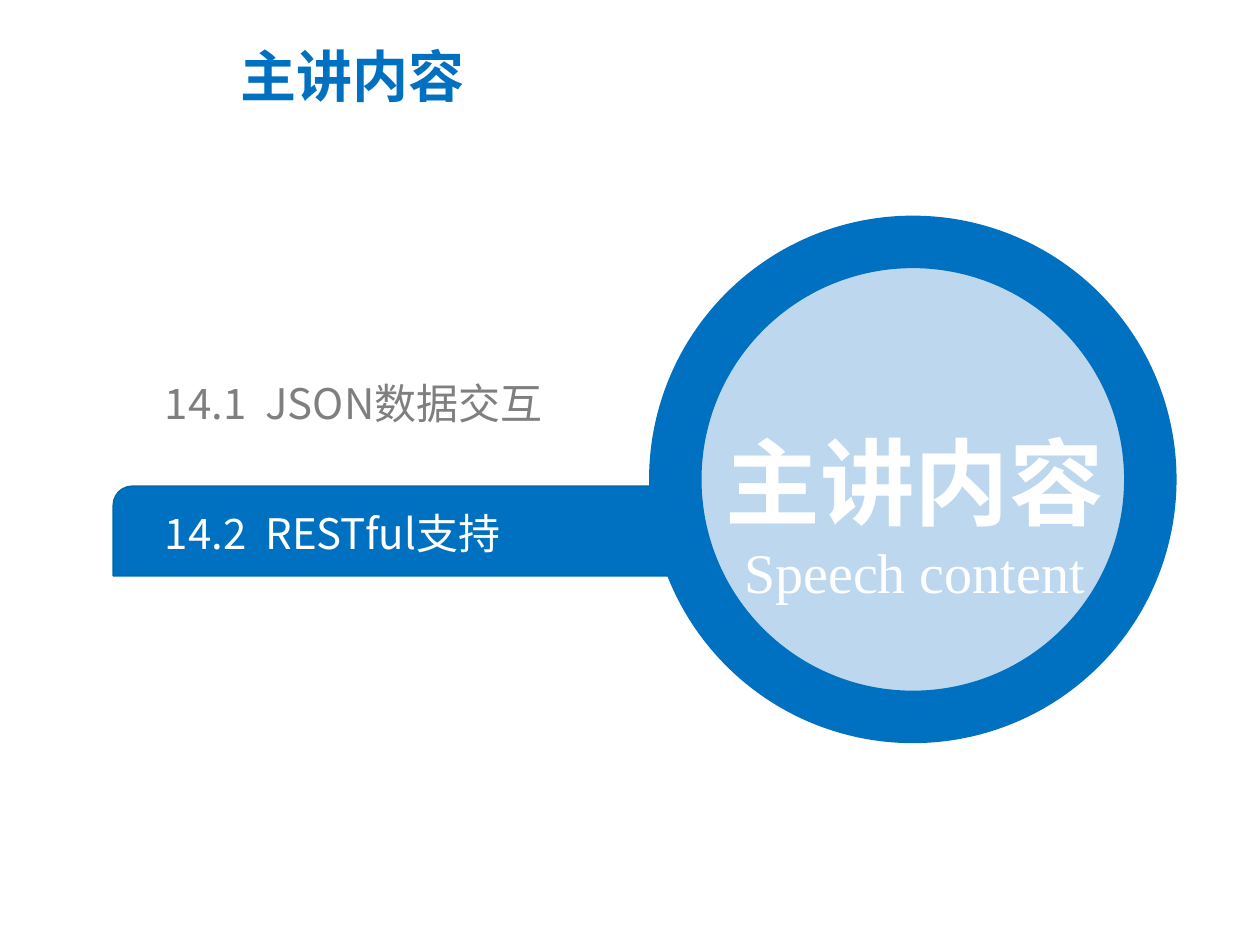
"""Build the chapter agenda slide with its current topic highlighted."""
import pptx
import pptx.dml.color
import pptx.enum.shapes
import pptx.enum.text
import pptx.oxml.ns
import pptx.oxml.xmlchemy
import pptx.util

BLUE = pptx.dml.color.RGBColor(0x00, 0x70, 0xC0)
EDGE_BLUE = pptx.dml.color.RGBColor(0x00, 0x6B, 0xA9)
PALE_BLUE = pptx.dml.color.RGBColor(0xBD, 0xD7, 0xEE)
GRAY = pptx.dml.color.RGBColor(0x7F, 0x7F, 0x7F)
WHITE = pptx.dml.color.RGBColor(0xFF, 0xFF, 0xFF)
SANS = "Noto Sans CJK SC"
SERIF = "Times New Roman"
ANCHOR = pptx.enum.text.MSO_ANCHOR
ALIGN = pptx.enum.text.PP_ALIGN
SHAPE = pptx.enum.shapes.MSO_SHAPE

TITLE = {"text": "主讲内容", "size": 32, "color": BLUE, "bold": True, "spacing": 0.9}
BADGE = [
    {"text": "主讲内容", "size": 54, "color": WHITE, "bold": True, "spacing": 1.5},
    {"text": "Speech content", "size": 32, "color": WHITE, "font": SERIF},
]
TOPICS = ["14.1  JSON数据交互", "14.2  RESTful支持"]
CURRENT_TOPIC = 1

COLUMNS, ROWS = 100, 75
TOPIC_LEFT, TOPIC_TOP, TOPIC_WIDTH, TOPIC_HEIGHT = 13.1, 30, 47, 4
TOPIC_PITCH = 10.3
BAR_LEFT, BAR_WIDTH, BAR_HEIGHT = 9, 62.6, 7.1
CIRCLE_LEFT, CIRCLE_TOP, CIRCLE_SIZE = 53.6, 19.2, 37.7

presentation = pptx.Presentation()
presentation.slide_width = pptx.util.Inches(10)
presentation.slide_height = pptx.util.Inches(7.5)
slide = presentation.slides.add_slide(presentation.slide_layouts[6])


def place(left, top, width, height):
    column = presentation.slide_width / COLUMNS
    row = presentation.slide_height / ROWS
    return [round(n) for n in (left * column, top * row, width * column, height * row)]


def add_shape(kind, box, fill, line, line_width):
    shape = slide.shapes.add_shape(kind, *place(*box))
    shape.shadow.inherit = False
    shape.fill.solid()
    shape.fill.fore_color.rgb = fill
    shape.line.color.rgb = line
    shape.line.width = pptx.util.Pt(line_width)
    return shape


def add_text(box, lines, anchor=ANCHOR.MIDDLE, align=ALIGN.LEFT, inset=True):
    frame = slide.shapes.add_textbox(*place(*box)).text_frame
    frame.word_wrap = True
    frame.vertical_anchor = anchor
    if not inset:
        frame.margin_left = frame.margin_right = 0
        frame.margin_top = frame.margin_bottom = 0
    for index, line in enumerate(lines):
        paragraph = frame.add_paragraph() if index else frame.paragraphs[0]
        paragraph.alignment = align
        paragraph.line_spacing = line.get("spacing", 1.0)
        run = paragraph.add_run()
        run.text = line["text"]
        run.font.size = pptx.util.Pt(line["size"])
        run.font.bold = line.get("bold", False)
        run.font.color.rgb = line["color"]
        run.font.name = line.get("font", SANS)
        east_asian = pptx.oxml.xmlchemy.OxmlElement("a:ea")
        east_asian.set("typeface", run.font.name)
        run.font._element.find(pptx.oxml.ns.qn("a:latin")).addnext(east_asian)


add_text((18.1, 3.4, 61.5, 8.5), [TITLE], anchor=ANCHOR.TOP)

current_middle = TOPIC_TOP + CURRENT_TOPIC * TOPIC_PITCH + TOPIC_HEIGHT / 2
bar_box = (BAR_LEFT, current_middle - BAR_HEIGHT / 2 - 0.15, BAR_WIDTH, BAR_HEIGHT)
bar = add_shape(SHAPE.ROUND_2_DIAG_RECTANGLE, bar_box, BLUE, EDGE_BLUE, 1)
bar.adjustments[0] = 0.21

circle_box = (CIRCLE_LEFT, CIRCLE_TOP, CIRCLE_SIZE, CIRCLE_SIZE)
add_shape(SHAPE.OVAL, circle_box, PALE_BLUE, BLUE, 30)
add_text((53.1, 28.6, 39, 19.9), BADGE, align=ALIGN.CENTER)

for index, topic in enumerate(TOPICS):
    color = WHITE if index == CURRENT_TOPIC else GRAY
    topic_box = (TOPIC_LEFT, TOPIC_TOP + index * TOPIC_PITCH, TOPIC_WIDTH, TOPIC_HEIGHT)
    add_text(topic_box, [{"text": topic, "size": 24, "color": color}], inset=False)

presentation.save("out.pptx")
